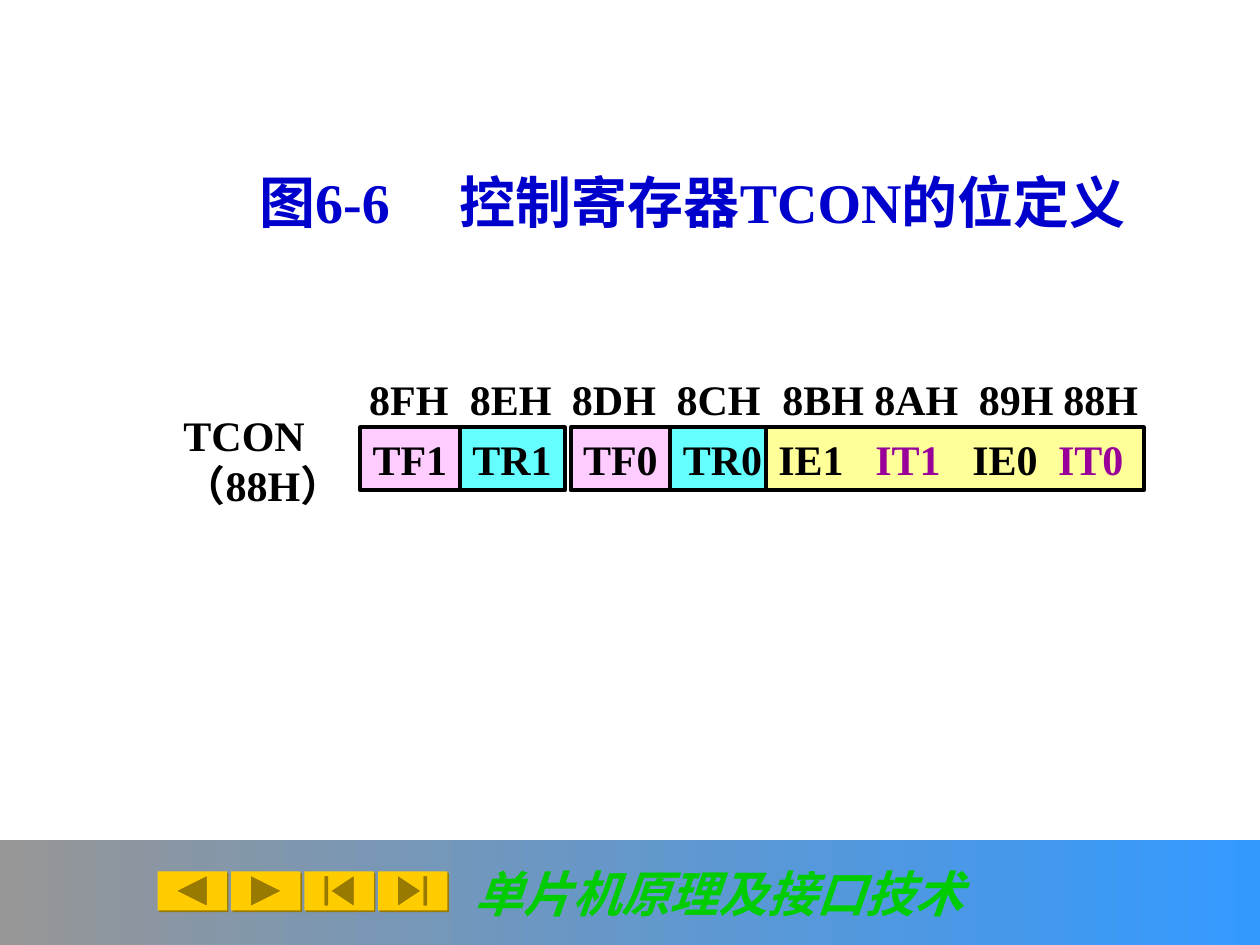
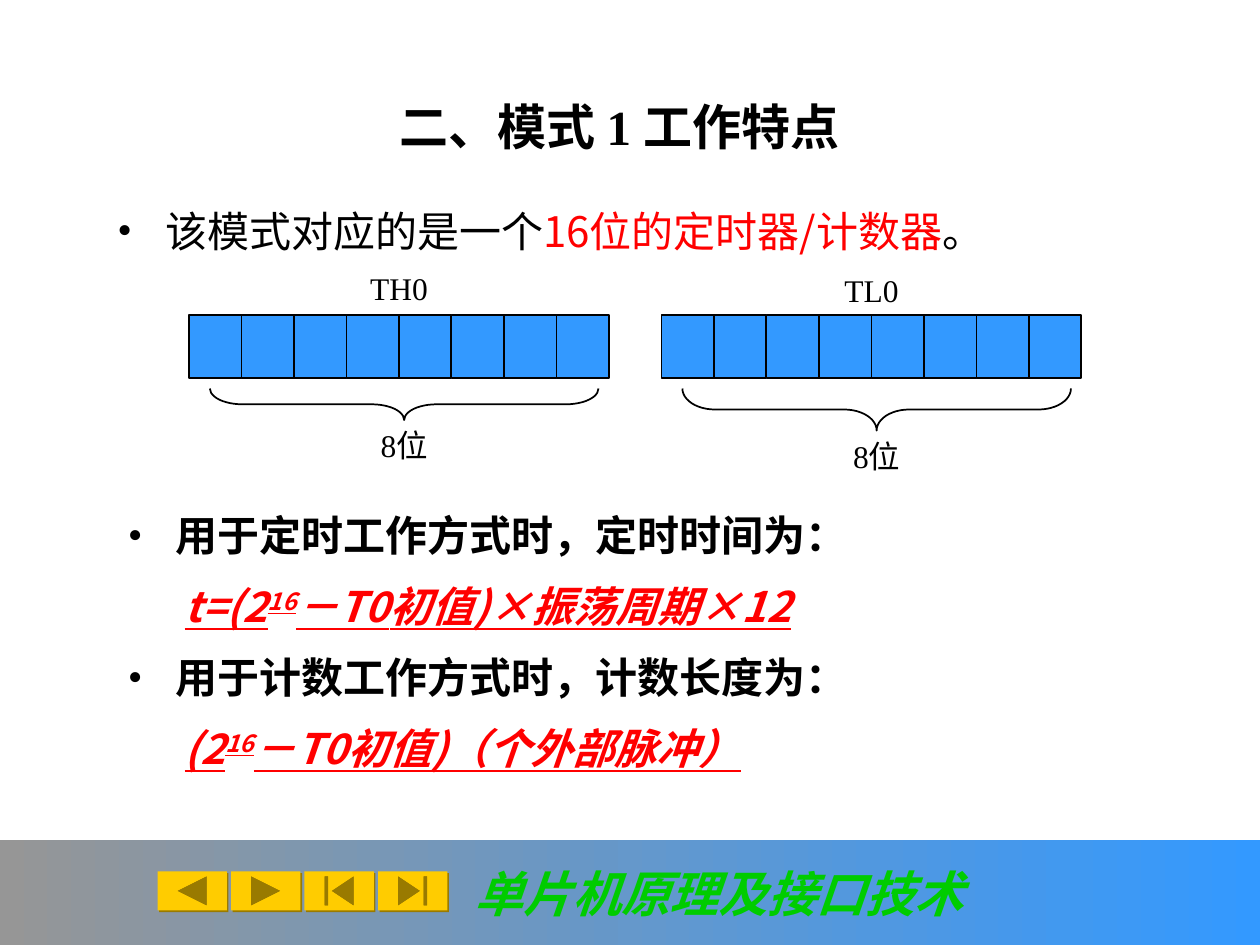
from lxml import etree
from pptx import Presentation
from pptx import util as u
from pptx.dml.color import RGBColor
from pptx.enum import shapes, text
from pptx.oxml import ns

COLS, ROWS = 24, 18
C = dict(black="000000", red="FF0000", title="0000CC", purple="990099",
         pink="FFCCFF", cyan="66FFFF", yellow="FFFF99", blue="3399FF",
         grey="969696", green="00CC00", gold="FFCC00", shade="997A00")
SERIF, SANS = "Times New Roman", "Noto Sans CJK SC"
MSO = shapes.MSO_SHAPE
FORMULA = dict(italic=True, underline=True)

prs = Presentation()
prs.slide_width, prs.slide_height = u.Inches(10), u.Inches(7.5)
UNIT = prs.slide_width / COLS


def add(s, at, kind=None, fill=None, line=None):
    at = [round(n * UNIT) for n in at]
    if kind is None:
        return s.shapes.add_textbox(*at)
    sp = s.shapes.add_shape(kind, *at)
    sp.shadow.inherit = False
    if fill:
        sp.fill.solid()
        sp.fill.fore_color.rgb = RGBColor.from_string(C[fill])
    else:
        sp.fill.background()
    if line:
        sp.line.color.rgb = RGBColor.from_string(C["black"])
        sp.line.width = u.Pt(line)
    else:
        sp.line.fill.background()
    return sp


def write(sp, runs, size, font=SERIF, bold=True, wrap=False, align="LEFT",
          anchor="TOP", tabs=(), first=True):
    tf = sp.text_frame
    tf.word_wrap = wrap
    tf.vertical_anchor = text.MSO_ANCHOR[anchor]
    p = tf.paragraphs[0] if first else tf.add_paragraph()
    p.alignment = text.PP_ALIGN[align]
    if tabs:
        tab_list = etree.SubElement(p._p.get_or_add_pPr(), ns.qn("a:tabLst"))
        for pos in tabs:
            etree.SubElement(tab_list, ns.qn("a:tab"), pos=str(u.Inches(pos)), algn="l")
    for words, color, style in runs:
        r = p.add_run()
        r.text = words
        r.font.size, r.font.bold, r.font.name = u.Pt(size), bold, font
        r.font.color.rgb = RGBColor.from_string(C[color])
        r.font.italic = style.get("italic")
        r.font.underline = style.get("underline")
        rPr = r._r.get_or_add_rPr()
        if "baseline" in style:
            rPr.set("baseline", style["baseline"])
        etree.SubElement(rPr, ns.qn("a:ea"), typeface=SANS)
    return p


s = prs.slides.add_slide(prs.slide_layouts[6])
for name, col, width, fill in (("TF1", 6.86, 1.9, "pink"), ("TR1", 8.76, 2, "cyan"),
                               ("TF0", 10.87, 1.9, "pink"), ("TR0", 12.77, 2, "cyan")):
    sp = add(s, (col, 8.14, width, 1.2), MSO.RECTANGLE, fill, 2.25)
    write(sp, [(name, "black", {})], 24)
sp = add(s, (14.59, 8.14, 7.2, 1.2), MSO.RECTANGLE, "yellow", 2.25)
write(sp, [("IE1", "black", {}), ("\tIT1", "purple", {}),
           ("\tIE0", "black", {}), ("\tIT0", "purple", {})],
      24, wrap=True, tabs=(0.77, 1.54, 2.22))

sp = add(s, (3.26, 7.68, 3.9, 2.16))
write(sp, [("TCON", "black", {})], 24)
write(sp, [("（88H）", "black", {})], 24, first=False)

sp = add(s, (6.6, 7, 15.6, 1.2))
sp.text_frame.margin_left = u.Inches(0.18)
write(sp, [("8FH\t8EH\t8DH\t8CH\t8BH\t8AH\t89H\t88H", "black", {})], 24, wrap=True,
      tabs=(0.8, 1.61, 2.44, 3.28, 4.01, 4.84, 5.51))
sp = add(s, (4.7, 3.07, 18, 1.54))
write(sp, [("图6-6\t控制寄存器TCON的位定义", "title", {})], 32, wrap=True, tabs=(1.59,))

s = prs.slides.add_slide(prs.slide_layouts[6])
sp = add(s, (1.6, 1.6, 20.4, 1.6))
write(sp, [("二、模式 1 工作特点", "black", {})], 28, wrap=True, align="CENTER", anchor="MIDDLE")

intro = [(True, [("该模式对应的是一个", "black", {}), ("16位的定时器/计数器", "red", {}),
                 ("。", "black", {})])]
power = ("16", "red", dict(FORMULA, baseline="30000"))
uses = [
    (True, [("用于定时工作方式时，定时时间为：", "black", {})]),
    (False, [("t=(2", "red", FORMULA), power, ("－T0初值)×振荡周期×12", "red", FORMULA)]),
    (True, [("用于计数工作方式时，计数长度为：", "black", {})]),
    (False, [("(2", "red", FORMULA), power, ("－T0初值)（个外部脉冲）", "red", FORMULA)]),
]
for at, items, bold in (((2, 3.6, 21.2, 1.8), intro, False),
                        ((2.2, 9.4, 21.2, 5.6), uses, True)):
    sp = add(s, at)
    for i, (bullet, runs) in enumerate(items):
        p = write(sp, runs, 24, SANS, bold, wrap=True, first=i == 0)
        pPr = p._p.get_or_add_pPr()
        pPr.set("marL", str(u.Inches(0.38 if bullet else 0.45)))
        if bullet:
            pPr.set("indent", str(u.Inches(-0.38)))
            color = etree.SubElement(pPr, ns.qn("a:buClr"))
            etree.SubElement(color, ns.qn("a:srgbClr"), val=C["black"])
            etree.SubElement(pPr, ns.qn("a:buFont"), typeface=SERIF)
            etree.SubElement(pPr, ns.qn("a:buChar"), char="•")
        p.line_spacing = 1.2
        if i:
            p.space_before = u.Pt(6)

for name, left, name_row, depth in (("TH0", 3.6, 5, 0.6), ("TL0", 12.6, 5.04, 0.8)):
    for bit in range(8):
        add(s, (left + bit, 6, 1, 1.2), MSO.RECTANGLE, "blue", 1)
    span, middle = 7.4, left + 4.1
    for words, center, row in ((name, left + 4, name_row), ("8位", middle, 7.4 + depth)):
        write(add(s, (center - 1.5, row, 3, 0.96)), [(words, "black", {})], 18,
              bold=False, wrap=True, align="CENTER")
    brace = add(s, (middle - depth / 2, 7.4 + depth / 2 - span / 2, depth, span),
                MSO.LEFT_BRACE, line=1)
    brace.rotation = 270
    brace.adjustments[0] = span / 12 / depth

for s in prs.slides:
    band = add(s, (0, ROWS - 2, COLS, 2), MSO.RECTANGLE)
    band.fill.gradient()
    band.fill.gradient_angle = 0
    for stop, color in zip(band.fill.gradient_stops, ("grey", "blue")):
        stop.color.rgb = RGBColor.from_string(C[color])
    band.text_frame.margin_left = u.Inches(1.51)
    write(band, [("单片机原理及接口技术", "green", {"italic": True})], 28,
          wrap=True, align="CENTER", anchor="MIDDLE")
    for i, kind in enumerate((MSO.ACTION_BUTTON_BACK_OR_PREVIOUS,
                              MSO.ACTION_BUTTON_FORWARD_OR_NEXT,
                              MSO.ACTION_BUTTON_BEGINNING, MSO.ACTION_BUTTON_END)):
        button = add(s, (3 + 1.4 * i, 16.6, 1.32, 0.74), kind, "gold")
        effects = button._element.spPr.find(ns.qn("a:effectLst"))
        shadow = etree.SubElement(effects, ns.qn("a:outerShdw"), dist=str(u.Pt(1.4)),
                                  dir="2700000", algn="ctr", rotWithShape="0")
        etree.SubElement(shadow, ns.qn("a:srgbClr"), val=C["shade"])

prs.save("out.pptx")
